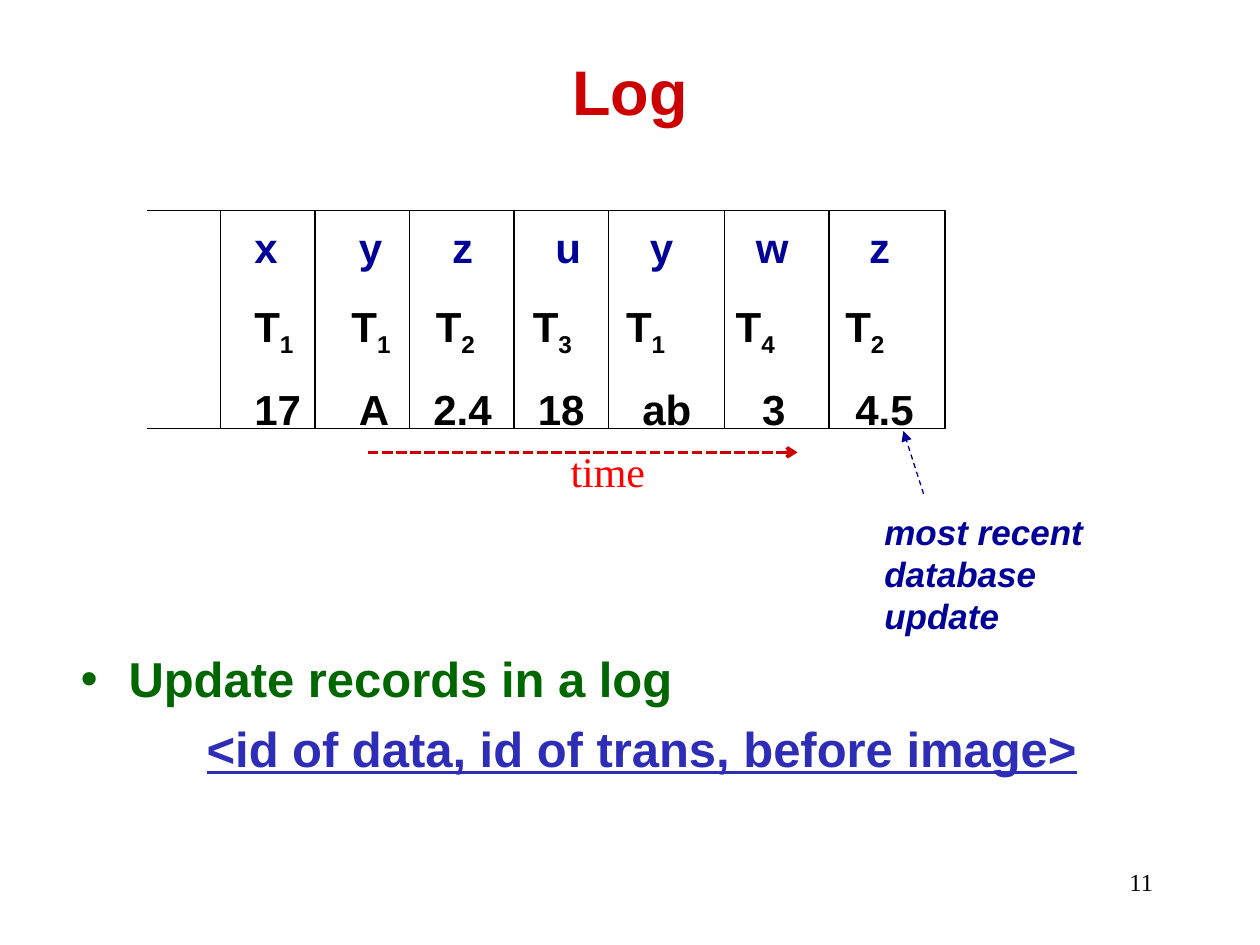
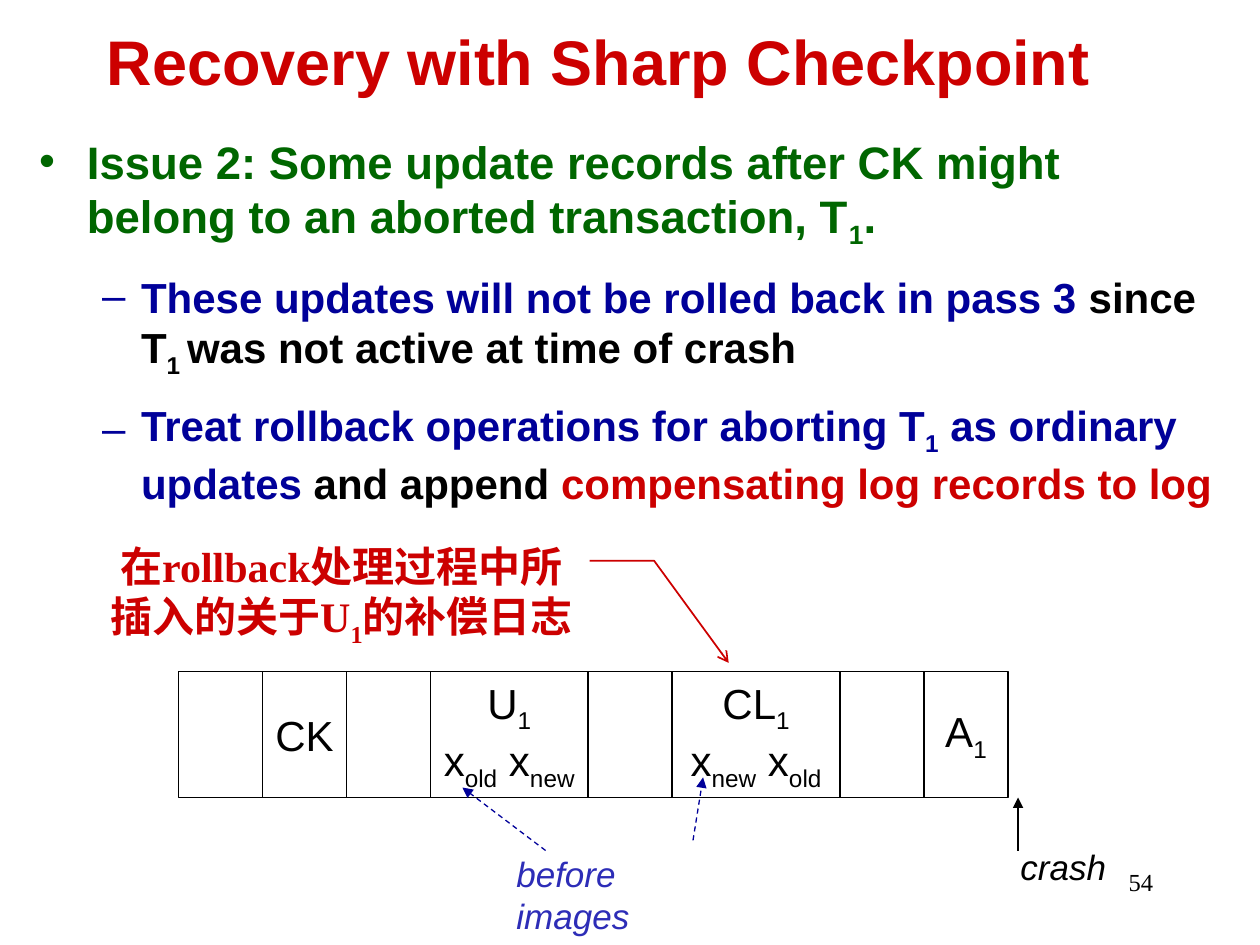
import pptx
import pptx.util
import pptx.dml.color
import pptx.enum.dml
import pptx.enum.shapes
import pptx.enum.text
import pptx.oxml.ns
import lxml.etree

Inches = pptx.util.Inches
Pt = pptx.util.Pt
RGBColor = pptx.dml.color.RGBColor
Align = pptx.enum.text.PP_ALIGN
Anchor = pptx.enum.text.MSO_ANCHOR
Dash = pptx.enum.dml.MSO_LINE
Shape = pptx.enum.shapes.MSO_SHAPE
qn = pptx.oxml.ns.qn

RED = RGBColor(0xCC, 0x00, 0x00)
BRIGHT_RED = RGBColor(0xFF, 0x00, 0x00)
NAVY = RGBColor(0x00, 0x00, 0x99)
BLUE = RGBColor(0x2D, 0x2D, 0xB7)
GREEN = RGBColor(0x00, 0x66, 0x00)
BLACK = RGBColor(0x00, 0x00, 0x00)
WHITE = RGBColor(0xFF, 0xFF, 0xFF)
SANS = "Arial"
SERIF = "Times New Roman"


def write(para, pieces, size, face=SANS, bold=False):
    para.font.size = Pt(size)
    para.font.name = face
    para.font.bold = bold
    if len(pieces) == 1:
        para.font.color.rgb = pieces[0][1]
    for text, color in pieces:
        for number, part in enumerate(text.split("_")):
            if not part:
                continue
            span = para.add_run()
            span.text = part
            if len(pieces) > 1:
                span.font.color.rgb = color
            if number % 2:
                span._r.get_or_add_rPr().set("baseline", "-25000")


def draw_line(page, start, end, color=BLACK, width=0.75, dash=None, tail=None):
    line = page.shapes.add_connector(
        pptx.enum.shapes.MSO_CONNECTOR.STRAIGHT,
        *[Inches(value) for value in start + end])
    line.line.color.rgb = color
    line.line.width = Pt(width)
    if dash:
        line.line.dash_style = dash
    if tail:
        lxml.etree.SubElement(line.line._get_or_add_ln(), qn("a:tailEnd"), type=tail)
    lxml.etree.SubElement(line._element.spPr, qn("a:effectLst"))


deck = pptx.Presentation()
deck.slide_width = Inches(10)
deck.slide_height = Inches(7.5)

PAGES = [
    ("Log", (0.75, 0.36, 8.5, 0.71), "11", (0.54, 5.1, 8.77, 1.14), [
        (0, 28, 0.38, -0.38, 0, "•", [("Update records in a log", GREEN)]),
        (2, 28, 1, 0, 6, None, [("<id of data, id of trans, before image>", BLUE)]),
    ]),
    ("Recovery with Sharp Checkpoint", (0.5, 0.08, 8.5, 0.79), "54", (0.21, 1.01, 9.54, 3.25), [
        (0, 26, 0.38, -0.38, 0, "•", [
            ("Issue 2: Some update records after CK might belong to an "
             "aborted transaction, T_1_.", GREEN)]),
        (1, 24, 0.81, -0.31, 12, "–", [
            ("These updates will not be rolled back in pass 3", NAVY),
            (" since T_1 _was not active at time of crash", BLACK)]),
        (1, 24, 0.81, -0.31, 12, "–", [
            ("Treat rollback operations for aborting T_1_ as ordinary updates", NAVY),
            (" and append ", BLACK),
            ("compensating log records to log", RED)]),
    ]),
]

pages = []
for heading, title_place, number, body_place, items in PAGES:
    page = deck.slides.add_slide(deck.slide_layouts[1])
    pages.append(page)
    title, body = page.placeholders
    for box, place in ((title, title_place), (body, body_place)):
        box.left, box.top, box.width, box.height = [Inches(value) for value in place]
        box.text_frame.word_wrap = True
        box.text_frame.auto_size = pptx.enum.text.MSO_AUTO_SIZE.NONE
    title.text_frame.vertical_anchor = Anchor.MIDDLE
    para = title.text_frame.paragraphs[0]
    para.alignment = Align.CENTER
    write(para, [(heading, RED)], 36, bold=True)

    for index, (level, size, margin, indent, before, bullet, pieces) in enumerate(items):
        para = body.text_frame.add_paragraph() if index else body.text_frame.paragraphs[0]
        para.level = level
        para.space_before = Pt(before)
        properties = para._p.get_or_add_pPr()
        properties.set("marL", str(Inches(margin)))
        properties.set("indent", str(Inches(indent)))
        if bullet:
            lxml.etree.SubElement(properties, qn("a:buChar"), char=bullet)
        else:
            lxml.etree.SubElement(properties, qn("a:buNone"))
            para.font.underline = True
        write(para, pieces, size, bold=True)

    box = page.shapes.add_textbox(Inches(7.17), Inches(6.83), Inches(2.08), Inches(0.5))
    box.text_frame.word_wrap = True
    para = box.text_frame.paragraphs[0]
    para.alignment = Align.RIGHT
    write(para, [(number, BLACK)], 14, SERIF)

log_page, recovery_page = pages

LOG_ROWS = [
    ("x y z u y w z", NAVY, (0.83, 1.57, 2.39, 3.14, 3.98, 4.88)),
    ("T_1_ T_1_ T_2_ T_3_ T_1_ T_4_ T_2_", BLACK, (0.77, 1.44, 2.21, 2.95, 3.82, 4.69)),
    ("17 A 2.4 18 ab 3 4.5", BLACK, (0.83, 1.42, 2.25, 3.08, 4.03, 4.77)),
]
box = log_page.shapes.add_textbox(Inches(1.92), Inches(1.51), Inches(5.61), Inches(1.92))
box.text_frame.word_wrap = True
for index, (entries, color, stops) in enumerate(LOG_ROWS):
    para = box.text_frame.add_paragraph() if index else box.text_frame.paragraphs[0]
    para.line_spacing = 1.5
    tabs = lxml.etree.SubElement(para._p.get_or_add_pPr(), qn("a:tabLst"))
    for stop in stops:
        lxml.etree.SubElement(tabs, qn("a:tab"), pos=str(Inches(stop)), algn="l")
    write(para, [(entries.replace(" ", "\t"), color)], 24, bold=True)

LOG_TOP, LOG_BOTTOM = 1.67, 3.4
frame = log_page.shapes.add_shape(
    Shape.RECTANGLE, Inches(1.75), Inches(LOG_TOP), Inches(5.75), Inches(LOG_BOTTOM - LOG_TOP))
frame.shadow.inherit = False
frame.fill.background()
frame.line.color.rgb = BLACK
frame.line.width = Pt(0.75)
for divider in (2.5, 3.25, 4.08, 4.83, 5.75, 6.58):
    draw_line(log_page, (divider, LOG_TOP), (divider, LOG_BOTTOM))
for edge in (LOG_TOP, LOG_BOTTOM):
    draw_line(log_page, (1.8, edge), (1.17, edge))
draw_line(log_page, (7.33, 3.92), (7.17, 3.42), NAVY, dash=Dash.DASH, tail="triangle")
draw_line(log_page, (2.92, 3.59), (6.33, 3.59), RED, 2, Dash.SQUARE_DOT, "arrow")

RECORDS = [(8, []), (8, ["CK"]), (8, []), (15, ["U_1_", "x_old_ x_new_"]),
           (8, []), (16, ["CL_1_", "x_new_ x_old_"]), (8, []), (8, ["A_1_"])]
left = 17
for twelfths, lines in RECORDS:
    record = recovery_page.shapes.add_shape(
        Shape.RECTANGLE, Inches(left / 12), Inches(5.33), Inches(twelfths / 12), Inches(1))
    left += twelfths
    record.shadow.inherit = False
    record.fill.solid()
    record.fill.fore_color.rgb = WHITE
    record.line.color.rgb = BLACK
    record.line.width = Pt(0.75)
    record.text_frame.word_wrap = False
    record.text_frame.vertical_anchor = Anchor.MIDDLE
    for index, text in enumerate(lines):
        para = record.text_frame.add_paragraph() if index else record.text_frame.paragraphs[0]
        para.alignment = Align.CENTER
        write(para, [(text, BLACK)], 24)

draw_line(recovery_page, (8.08, 6.75), (8.08, 6.33), tail="triangle")
for start, end in (((4.33, 6.75), (3.67, 6.25)), ((5.5, 6.67), (5.58, 6.17))):
    draw_line(recovery_page, start, end, NAVY, dash=Dash.DASH, tail="triangle")

callout = recovery_page.shapes.add_shape(
    Shape.LINE_CALLOUT_2_NO_BORDER, Inches(0.74), Inches(4.26), Inches(3.94), Inches(0.91))
for index, value in enumerate((0.21, 1, 0.21, 1.13, 1.1, 1.28)):
    callout.adjustments[index] = value
callout.shadow.inherit = False
callout.fill.background()
callout.line.color.rgb = RED
callout.line.width = Pt(1)
lxml.etree.SubElement(callout.line._get_or_add_ln(), qn("a:tailEnd"), type="arrow")
callout.text_frame.word_wrap = True
callout.text_frame.vertical_anchor = Anchor.MIDDLE
para = callout.text_frame.paragraphs[0]
para.alignment = Align.CENTER
write(para, [("在rollback处理过程中所插入的关于U_1_的补偿日志", RED)], 24, SERIF, True)

LABELS = [
    (log_page, ["most recent", "database update"], (6.92, 4, 2.39, 0.77), 20, SANS, NAVY, True, True),
    (log_page, ["time"], (4.43, 3.49, 0.8, 0.51), 24, SERIF, BRIGHT_RED, False, False),
    (recovery_page, ["crash"], (8, 6.66, 0.88, 0.43), 20, SANS, BLACK, False, True),
    (recovery_page, ["before images"], (4, 6.72, 1.96, 0.43), 20, SANS, BLUE, False, True),
]
for page, lines, place, size, face, color, bold, italic in LABELS:
    box = page.shapes.add_textbox(*[Inches(value) for value in place])
    box.text_frame.word_wrap = False
    for index, text in enumerate(lines):
        para = box.text_frame.add_paragraph() if index else box.text_frame.paragraphs[0]
        para.font.italic = italic
        write(para, [(text, color)], size, face, bold)

deck.save("out.pptx")
